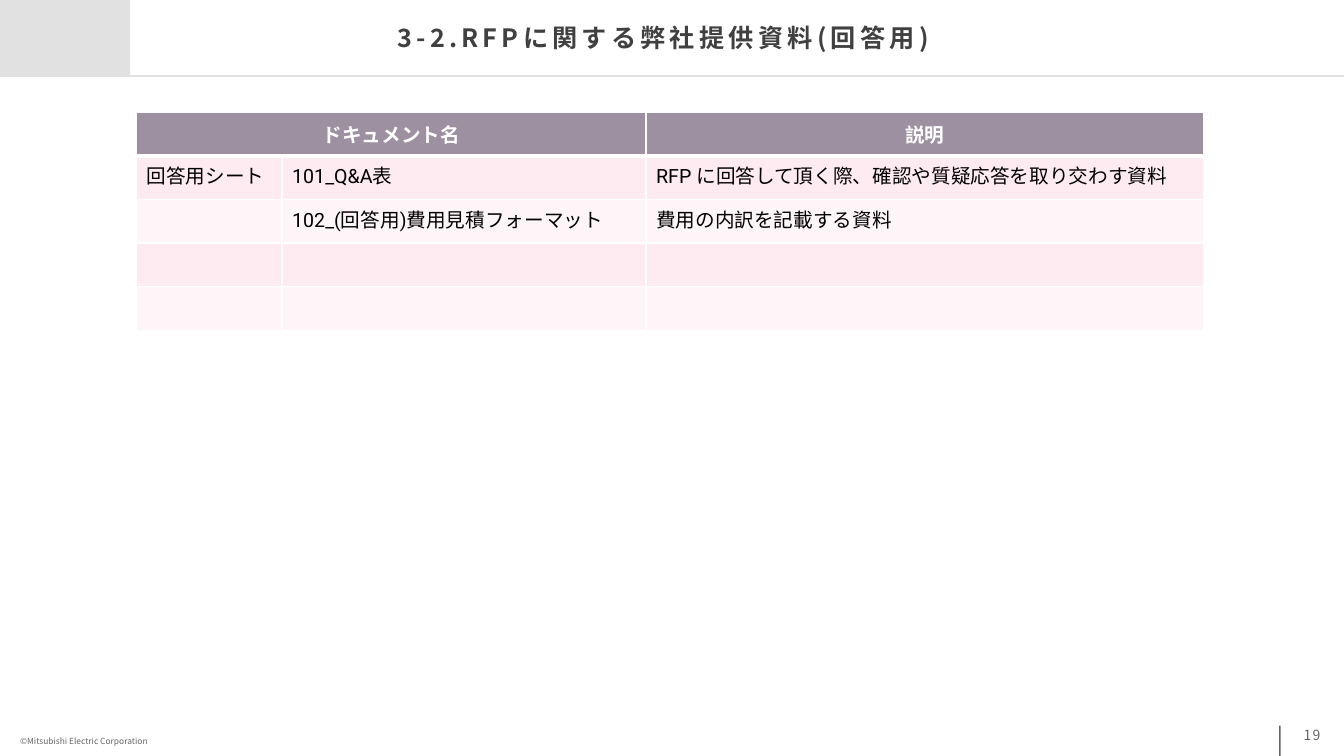
from lxml.etree import SubElement
from pptx import Presentation
from pptx.dml.color import RGBColor
from pptx.enum.shapes import MSO_CONNECTOR as LINK, MSO_SHAPE as SHAPE
from pptx.enum.text import MSO_ANCHOR as ANCHOR, MSO_AUTO_SIZE as FIT, PP_ALIGN as ALIGN
from pptx.oxml.ns import qn
from pptx.util import Pt

TITLE = "3-2.RFPに関する弊社提供資料(回答用)"
RIGHTS = "©Mitsubishi Electric Corporation"
PAGE = "19"
HEAD = ["ドキュメント名", "", "説明"]
BODY = [
    ["回答用シート", "101_Q&A表", "RFP に回答して頂く際、確認や質疑応答を取り交わす資料"],
    ["", "102_(回答用)費用見積フォーマット", "費用の内訳を記載する資料"],
    ["", "", ""],
    ["", "", ""],
]
COLS = [104, 260, 398]
ROW = 31.2
SANS, LATIN = "Noto Sans CJK JP", "Roboto"
GREY, PALE, DARK, WHITE, BLACK = "666666", "E1E1E1", "404040", "FFFFFF", "000000"
MAUVE, BANDS = "9D90A0", ["FDEBF1", "FEF5F8"]
WIDE, HIGH, BAR = 960, 540, 54


def rgb(code):
    return RGBColor.from_string(code)


def box(*at):
    return [Pt(v) for v in at]


def style(para, size, color, face=SANS, bold=False, gap=0):
    for run in para.runs:
        font = run.font
        font.size, font.name, font.bold = Pt(size), face, bold
        font.color.rgb = rgb(color)
        props = run._r.get_or_add_rPr()
        SubElement(props, qn("a:ea")).set("typeface", SANS)
        if gap:
            props.set("spc", str(gap * 100))


def inset(frame, x=0, y=0):
    frame.margin_left = frame.margin_right = Pt(x)
    frame.margin_top = frame.margin_bottom = Pt(y)


def block(slide, color, *at):
    shape = slide.shapes.add_shape(SHAPE.RECTANGLE, *box(*at))
    shape.shadow.inherit = False
    shape.fill.solid()
    shape.fill.fore_color.rgb = rgb(color)
    shape.line.fill.background()


def label(slide, text, at, size, gap=0):
    frame = slide.shapes.add_textbox(*box(*at)).text_frame
    inset(frame)
    frame.text = text
    style(frame.paragraphs[0], size, GREY, gap=gap)
    return frame


def edge(cell, base):
    """Draw white cell borders, with the given width at the bottom."""
    props = cell._tc.get_or_add_tcPr()
    for side, width in zip("LRTB", (1, 1, 1, base)):
        line = SubElement(props, qn("a:ln" + side), w=str(Pt(width)))
        fill = SubElement(line, qn("a:solidFill"))
        SubElement(fill, qn("a:srgbClr"), val=WHITE)


def grid(slide):
    rows = [HEAD] + BODY
    at = box(97.5, 80, sum(COLS), ROW * len(rows))
    table = slide.shapes.add_table(len(rows), len(COLS), *at).table
    table.first_row = table.horz_banding = False
    for col, width in zip(table.columns, COLS):
        col.width = Pt(width)
    table.cell(0, 0).merge(table.cell(0, 1))
    for r, row in enumerate(rows):
        table.rows[r].height = Pt(ROW)
        top = r == 0
        for c, text in enumerate(row):
            cell = table.cell(r, c)
            edge(cell, 3 if top else 1)
            cell.fill.solid()
            cell.fill.fore_color.rgb = rgb(MAUVE if top else BANDS[(r - 1) % 2])
            para = cell.text_frame.paragraphs[0]
            if text:
                para.text = text
                style(para, 14, WHITE if top else BLACK, LATIN, top)
            else:
                SubElement(para._p, qn("a:endParaRPr"), sz="1400")
            if top:
                cell.vertical_anchor = ANCHOR.MIDDLE
                para.alignment = ALIGN.CENTER


def main():
    deck = Presentation()
    deck.slide_width, deck.slide_height = Pt(WIDE), Pt(HIGH)
    slide = deck.slides.add_slide(deck.slide_layouts[5])

    block(slide, GREY, 913.7, 518.4, 1, 21.6)
    foot = label(slide, RIGHTS, (14.4, 523.4, 101.5, 8.6), 6)
    foot.paragraphs[0].line_spacing = 1.3
    rule = slide.shapes.add_connector(LINK.STRAIGHT, *box(0, BAR, WIDE, BAR))
    rule.line.color.rgb = rgb(PALE)
    rule.line.width = Pt(1.5)
    SubElement(rule._element.spPr, qn("a:effectLst"))
    block(slide, PALE, 0, 0, 92.9, BAR)
    page = label(slide, PAGE, (900, 514.8, 43.2, 20.9), 10, 1)
    page.vertical_anchor = ANCHOR.MIDDLE
    page.paragraphs[0].alignment = ALIGN.RIGHT
    page.word_wrap = True

    title = slide.shapes.title
    title.left, title.top, title.width, title.height = box(123, 0, 701.3, BAR)
    frame = title.text_frame
    frame.text = TITLE
    frame.auto_size = FIT.NONE
    frame.vertical_anchor = ANCHOR.MIDDLE
    inset(frame, 22.3, 5.8)
    frame.paragraphs[0].alignment = ALIGN.CENTER
    style(frame.paragraphs[0], 18, DARK, bold=True, gap=3)

    grid(slide)
    deck.save("out.pptx")


if __name__ == "__main__":
    main()
